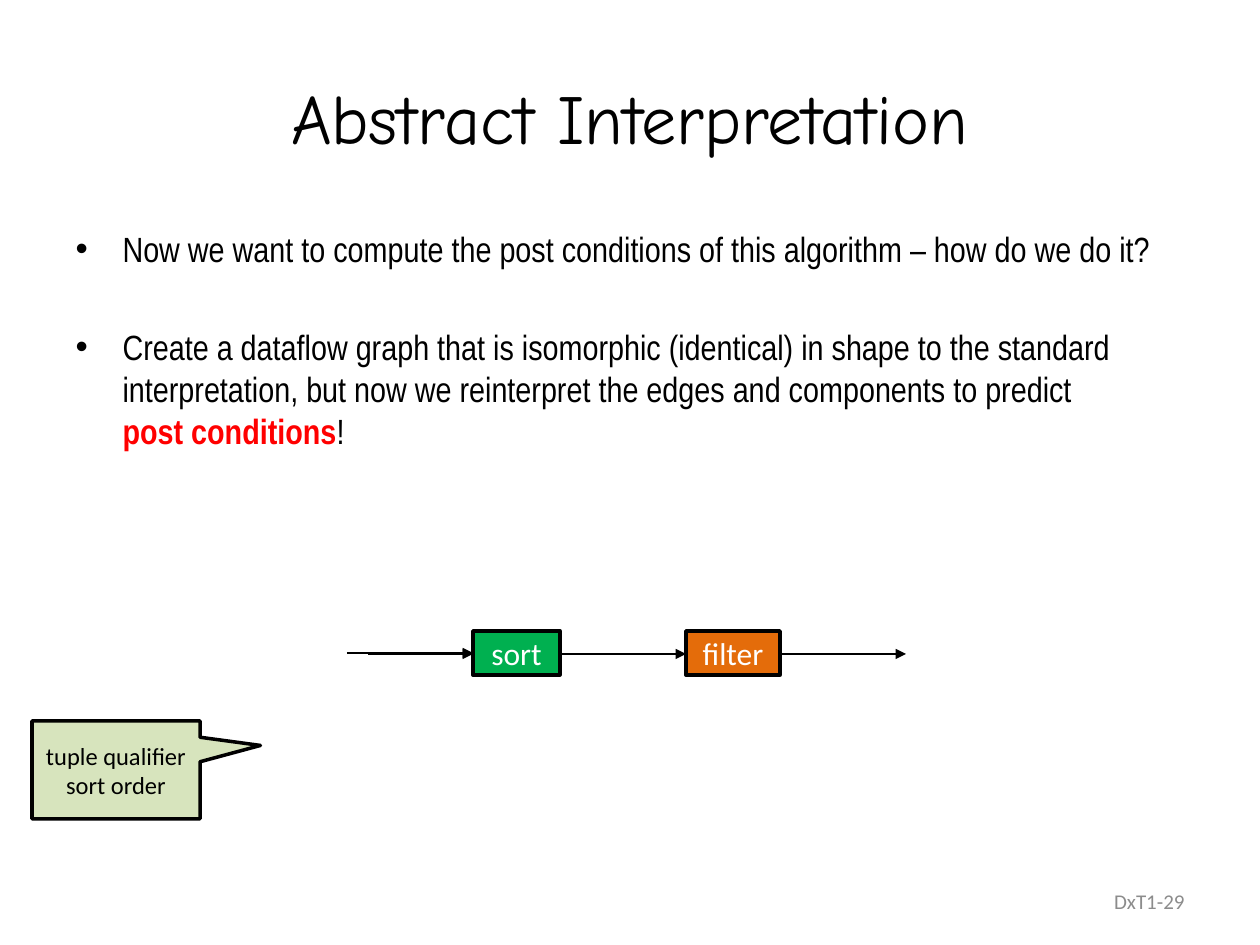
from pptx import Presentation
from pptx.dml.color import RGBColor
from pptx.enum.shapes import MSO_CONNECTOR, MSO_SHAPE
from pptx.enum.text import MSO_ANCHOR, MSO_AUTO_SIZE, PP_ALIGN
from pptx.oxml.ns import qn
from pptx.util import Inches, Pt
from lxml.etree import SubElement

PX = Inches(1) / 126
BLACK = RGBColor(0x00, 0x00, 0x00)
WHITE = RGBColor(0xFF, 0xFF, 0xFF)
RED = RGBColor(0xFF, 0x00, 0x00)
GRAY = RGBColor(0x8C, 0x8C, 0x8C)
GREEN = RGBColor(0x00, 0xB0, 0x50)
ORANGE = RGBColor(0xE4, 0x6C, 0x0A)
PALE_GREEN = RGBColor(0xD7, 0xE4, 0xBD)


def px(*lengths):
    return [round(length * PX) for length in lengths]


def write(paragraph, text, font="Calibri", size=18, color=BLACK, bold=False,
          align=PP_ALIGN.CENTER):
    """Append text to the paragraph; a newline becomes a line break."""
    paragraph.alignment = align
    for index, line in enumerate(text.split("\n")):
        if index:
            paragraph.add_line_break()
        if line:
            run = paragraph.add_run()
            run.text = line
            run.font.name = font
            run.font.size = Pt(size)
            run.font.bold = bold
            run.font.color.rgb = color


prs = Presentation()
prs.slide_width, prs.slide_height = Inches(10), Inches(7.5)
slide = prs.slides.add_slide(prs.slide_layouts[1])

# Title and bullets
title = slide.shapes.title
title.left, title.top, title.width, title.height = px(63, 38, 1134, 157)
title.text_frame.vertical_anchor = MSO_ANCHOR.MIDDLE
write(title.text_frame.paragraphs[0], "Abstract Interpretation", font="Comic Neue", size=40)

body = slide.placeholders[1]
body.left, body.top, body.width, body.height = px(63, 221, 1134, 262)
body.text_frame.auto_size = MSO_AUTO_SIZE.NONE
bullets = [
    [("Now we want to compute the post conditions of this algorithm – how do we do it?", {})],
    [("Create a dataflow graph that is isomorphic (identical) in shape to the standard\n"
      "interpretation, but now we reinterpret the edges and components to predict \n", {}),
     ("post conditions", {"color": RED, "bold": True}),
     ("!", {})],
]
indent = px(47)[0]
for index, parts in enumerate(bullets):
    paragraph = body.text_frame.paragraphs[0] if index == 0 else body.text_frame.add_paragraph()
    paragraph.space_before = Pt(32 * index)
    properties = paragraph._p.get_or_add_pPr()
    properties.set("marL", str(indent))
    properties.set("indent", str(-indent))
    for text, style in parts:
        write(paragraph, text, font="Arial Narrow", size=20, align=PP_ALIGN.LEFT, **style)

# Slide number
number = slide.shapes.add_textbox(*px(903, 876, 294, 50)).text_frame
number.word_wrap = True
number.vertical_anchor = MSO_ANCHOR.MIDDLE
write(number.paragraphs[0], "DxT1-29", size=12, color=GRAY, align=PP_ALIGN.RIGHT)

# Dataflow arrows: start x, end x, y, line width
for start, end, y, width in [(347, 473, 653, 0.75), (368, 473, 654, 0.75),
                             (560, 686, 654, 0.75), (780, 906, 654, 1)]:
    arrow = slide.shapes.add_connector(MSO_CONNECTOR.STRAIGHT, *px(start, y, end, y))
    arrow.line.color.rgb = BLACK
    arrow.line.width = Pt(width)
    SubElement(arrow.line._get_or_add_ln(), qn("a:tailEnd"), type="triangle")
    SubElement(arrow._element.spPr, qn("a:effectLst"))

# Components and the callout
for kind, bounds, fill, lines, size, color in [
    (MSO_SHAPE.RECTANGLE, (473, 631, 87, 44), GREEN, ["sort"], 18, WHITE),
    (MSO_SHAPE.RECTANGLE, (686, 631, 94, 44), ORANGE, ["filter"], 18, WHITE),
    (MSO_SHAPE.RECTANGULAR_CALLOUT, (32, 721, 168, 98), PALE_GREEN,
     ["tuple qualifier", "sort order"], 14, BLACK),
]:
    box = slide.shapes.add_shape(kind, *px(*bounds))
    box.shadow.inherit = False
    box.fill.solid()
    box.fill.fore_color.rgb = fill
    box.line.color.rgb = BLACK
    box.line.width = Pt(2)
    if kind == MSO_SHAPE.RECTANGULAR_CALLOUT:
        box.adjustments[0], box.adjustments[1] = 0.86, -0.25
    frame = box.text_frame
    frame.word_wrap = False
    frame.vertical_anchor = MSO_ANCHOR.MIDDLE
    for index, line in enumerate(lines):
        paragraph = frame.paragraphs[0] if index == 0 else frame.add_paragraph()
        write(paragraph, line, size=size, color=color)

prs.save("out.pptx")
